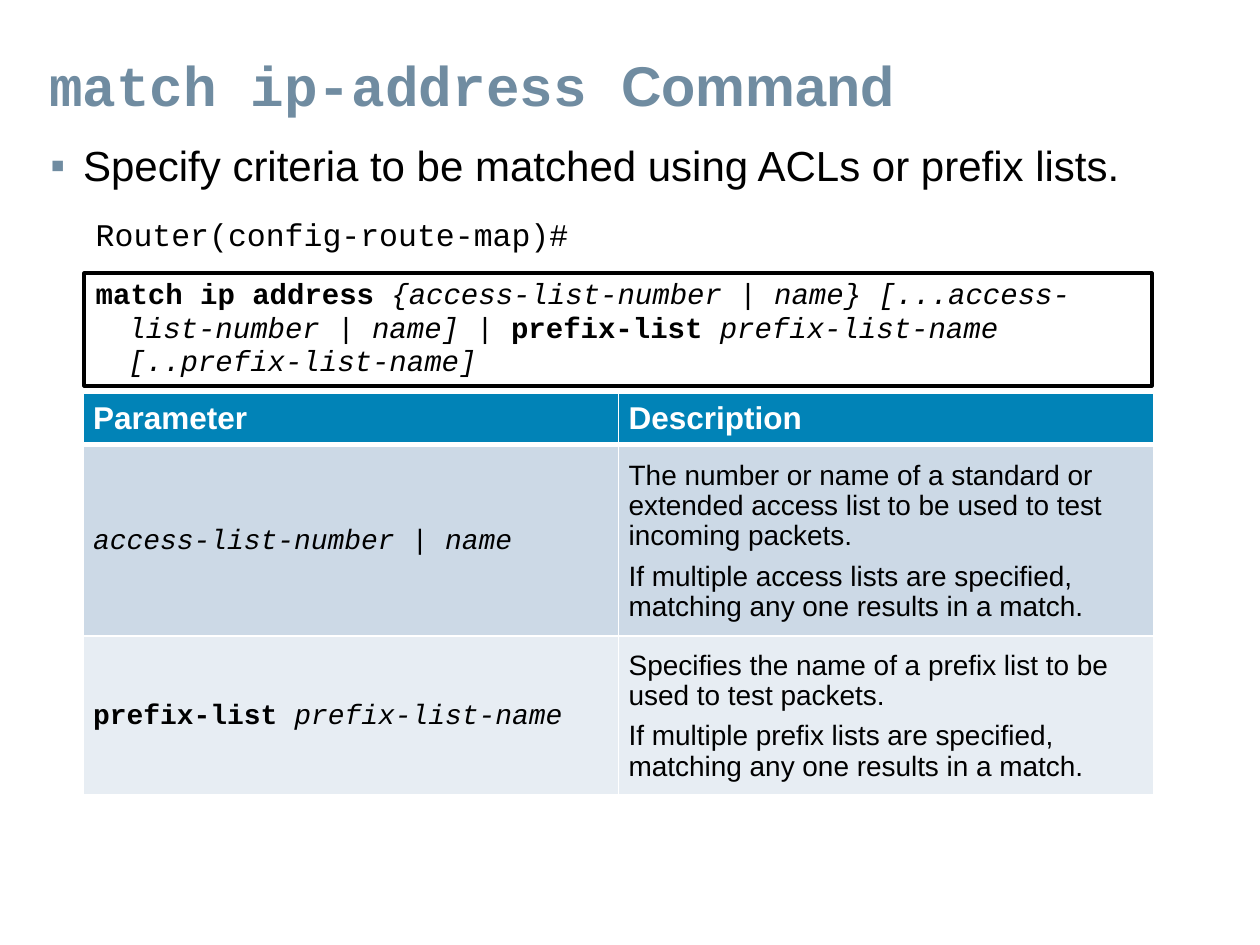
from dataclasses import dataclass
from pptx import Presentation
from pptx.dml.color import RGBColor as Rgb
from pptx.enum.shapes import MSO_SHAPE as Shape
from pptx.enum.text import MSO_ANCHOR as Anchor, PP_ALIGN as Align
from pptx.oxml import parse_xml
from pptx.oxml.ns import nsdecls
from pptx.util import Inches, Pt


@dataclass(frozen=True)
class Theme:
    sans: str = "Arial"
    mono: str = "Courier New"
    accent: str = "708CA1"
    black: str = "000000"
    white: str = "FFFFFF"
    header: str = "0183B7"
    bands: tuple = ("CCD9E6", "E7EDF3")
    title: float = 32
    bullet: float = 24
    label: float = 18
    syntax: float = 16.6
    cell: float = 16


theme = Theme()


def write(para, spans, font, size, color, spacing=1.0, after=6):
    para.alignment = Align.LEFT
    para.line_spacing = spacing
    para.space_before, para.space_after = Pt(0), Pt(after)
    para.font.name, para.font.size = font, Pt(size)
    para.font.color.rgb = Rgb.from_string(color)
    for text, style in spans:
        span = para.add_run()
        span.text = text
        if style:
            span.font.bold = style == "bold"
            span.font.italic = style == "italic"


def set_frame(frame, indent):
    frame.word_wrap = True
    frame.vertical_anchor = Anchor.TOP
    frame.margin_left = frame.margin_right = Inches(0.09)
    frame.margin_top = frame.margin_bottom = Inches(0.04)
    props = frame.paragraphs[0]._p.get_or_add_pPr()
    props.set("marL", str(Inches(indent)))
    props.set("indent", str(-Inches(indent)))
    return frame.paragraphs[0]


deck = Presentation()
deck.slide_width, deck.slide_height = Inches(10), Inches(7.5)
page = deck.slides.add_slide(deck.slide_layouts[5])

title = page.shapes.title
title.left, title.top = Inches(0.29), Inches(0.4)
title.width, title.height = Inches(9.32), Inches(0.6)
title.text_frame.vertical_anchor = Anchor.MIDDLE
para = title.text_frame.paragraphs[0]
write(para, [("match ip-address ", None), ("Command", None)],
      theme.sans, theme.title, theme.accent, 0.9, 0)
para.font.bold = True
para.runs[0].font.name = theme.mono

box = page.shapes.add_textbox(Inches(0.31), Inches(1.07), Inches(9.29), Inches(0.54))
para = set_frame(box.text_frame, 0.26)
write(para, [("Specify criteria to be matched using ACLs or prefix lists.", None)],
      theme.sans, theme.bullet, theme.black)
props = para._p.get_or_add_pPr()
bullet_parts = (
    f'<a:buClr {nsdecls("a")}><a:srgbClr val="{theme.accent}"/></a:buClr>',
    f'<a:buFont {nsdecls("a")} typeface="{theme.sans}"/>',
    f'<a:buChar {nsdecls("a")} char="\u25aa"/>',
)
place = props.index(props.find("{*}defRPr"))
for offset, part in enumerate(bullet_parts):
    props.insert(place + offset, parse_xml(part))

box = page.shapes.add_textbox(Inches(0.67), Inches(1.67), Inches(8.47), Inches(0.41))
write(set_frame(box.text_frame, 0.26), [("Router(config-route-map)#", None)],
      theme.mono, theme.label, theme.black)

syntax = page.shapes.add_shape(
    Shape.RECTANGLE, Inches(0.67), Inches(2.17), Inches(8.47), Inches(0.89))
syntax.shadow.inherit = False
syntax.fill.background()
syntax.line.color.rgb = Rgb.from_string(theme.black)
syntax.line.width = Pt(2.25)
write(set_frame(syntax.text_frame, 0.26), [
    ("match ip address ", "bold"),
    ("{access-list-number | name} [...access-list-number | name] | ", "italic"),
    ("prefix-list ", "bold"),
    ("prefix-list-name [..prefix-list-name]", "italic"),
], theme.mono, theme.syntax, theme.black, 0.95)

rows = [
    ([[("Parameter", "bold")]], [[("Description", "bold")]]),
    ([[("access-list-number ", "italic"), ("| ", None), ("name", "italic")]],
     [[("The number or name of a standard or extended access list "
        "to be used to test incoming packets. ", None)],
      [("If multiple access lists are specified, "
        "matching any one results in a match.", None)]]),
    ([[("prefix-list ", "bold"), ("prefix-list-name", "italic")]],
     [[("Specifies the name of a prefix list to be used to test packets. ", None)],
      [("If multiple prefix lists are specified, "
        "matching any one results in a match.", None)]]),
]
heights = [0.41, 1.45, 1.21]
table = page.shapes.add_table(
    3, 2, Inches(0.66), Inches(3.12), Inches(8.5), Inches(sum(heights))).table
for column in table.columns:
    column.width = Inches(4.25)

for row, (contents, height) in enumerate(zip(rows, heights)):
    table.rows[row].height = Inches(height)
    is_header = row == 0
    for col, paragraphs in enumerate(contents):
        cell = table.cell(row, col)
        cell.vertical_anchor = Anchor.MIDDLE
        cell.margin_left = cell.margin_right = Inches(0.08)
        cell.margin_top = Inches(0.04 if is_header else 0.08)
        cell.margin_bottom = Inches(0.04 if is_header else 0.06)
        font = theme.sans if is_header or col else theme.mono
        size = theme.label if is_header else theme.cell
        color = theme.white if is_header else theme.black
        frame = cell.text_frame
        for number, spans in enumerate(paragraphs):
            para = frame.add_paragraph() if number else frame.paragraphs[0]
            write(para, spans, font, size, color, 1.0 if is_header else 0.97)
        props = cell._tc.get_or_add_tcPr()
        for side in "LRTB":
            heavy = (is_header and side == "B") or (row == 1 and side == "T")
            props.append(parse_xml(
                f'<a:ln{side} {nsdecls("a")} w="{Pt(3 if heavy else 1)}"><a:solidFill>'
                f'<a:srgbClr val="{theme.white}"/></a:solidFill></a:ln{side}>'))
        cell.fill.solid()
        cell.fill.fore_color.rgb = Rgb.from_string(
            theme.header if is_header else theme.bands[row - 1])

deck.save("out.pptx")
